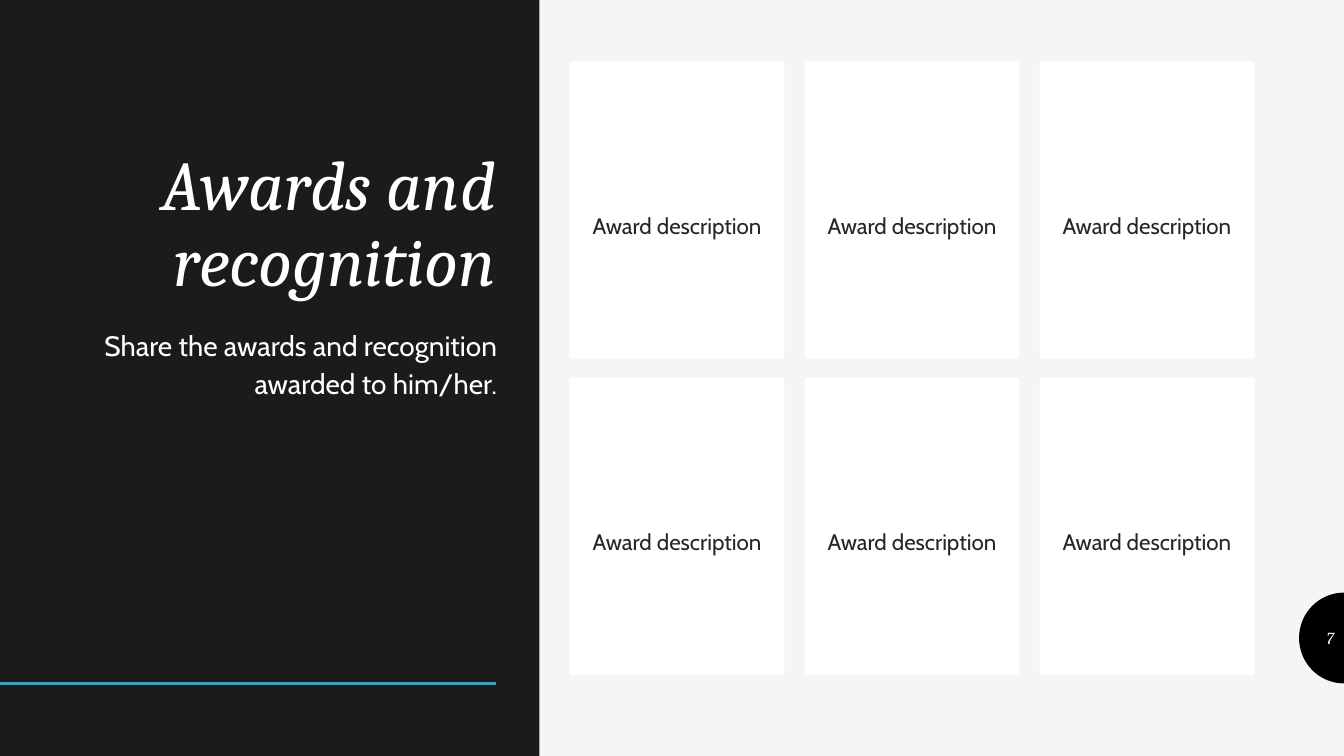
import math

import pptx
import pptx.util
import pptx.dml.color
import pptx.enum.shapes
import pptx.enum.text
import pptx.oxml

RGB = pptx.dml.color.RGBColor
ALIGN = pptx.enum.text.PP_ALIGN
ANCHOR = pptx.enum.text.MSO_ANCHOR
PAPER = RGB(0xF5, 0xF5, 0xF5)
DARK = RGB(0x1D, 0x1A, 0x1D)
TEAL = RGB(0x43, 0x9E, 0xB7)
WHITE = RGB(0xFF, 0xFF, 0xFF)
BLACK = RGB(0, 0, 0)
INK = RGB(0x26, 0x26, 0x26)

TITLE = {"name": "Cambria", "size": 50, "italic": True, "color": WHITE}
LEAD = {"name": "Cabin", "size": 20, "color": WHITE}
AWARD = {"name": "Cabin", "size": 16, "color": INK}
PAGE = {"name": "Cambria", "size": 12, "italic": True, "color": PAPER}


class Canvas:
    """One slide; every length is a percentage of its width or height."""

    def __init__(self, deck):
        self.wide, self.high = deck.slide_width, deck.slide_height
        self.slide = deck.slides.add_slide(deck.slide_layouts[6])
        self.shapes = self.slide.shapes
        back = self.slide.background.fill
        back.solid()
        back.fore_color.rgb = PAPER

    def col(self, share):
        return round(self.wide * share / 100)

    def row(self, share):
        return round(self.high * share / 100)

    def area(self, x, y, w, h):
        return self.col(x), self.row(y), self.col(w), self.row(h)

    def paint(self, shape, color):
        shape.shadow.inherit = False
        shape.fill.solid()
        shape.fill.fore_color.rgb = color
        shape.line.fill.background()
        return shape

    def rect(self, box, color):
        kind = pptx.enum.shapes.MSO_SHAPE.RECTANGLE
        return self.paint(self.shapes.add_shape(kind, *self.area(*box)), color)

    def dome(self, x, y, w, h, color):
        """Draw the left half of an ellipse whose flat side is at x + w."""
        turns = [math.pi * step / 48 for step in range(49)]
        spots = [(self.col(x + w - w * math.sin(turn)),
                  self.row(y + h / 2 * (1 - math.cos(turn)))) for turn in turns]
        pen = self.shapes.build_freeform(*spots[0])
        pen.add_line_segments(spots[1:], close=True)
        return self.paint(pen.convert_to_shape(), color)

    def rule(self, x, y, end, color):
        kind = pptx.enum.shapes.MSO_CONNECTOR.STRAIGHT
        line = self.shapes.add_connector(
            kind, self.col(x), self.row(y), self.col(end), self.row(y))
        line.line.color.rgb = color
        line.line.width = pptx.util.Pt(2)
        line._element.spPr.append(pptx.oxml.parse_xml(
            '<a:effectLst xmlns:a='
            '"http://schemas.openxmlformats.org/drawingml/2006/main"/>'))

    def label(self, shape, text, style, align, lead=1.0, **frame):
        """Put styled text into a shape's frame."""
        body = shape.text_frame
        for key, value in {"word_wrap": True, **frame}.items():
            setattr(body, key, value)
        para = body.paragraphs[0]
        para.alignment, para.line_spacing = align, lead
        run = para.add_run()
        run.text = text
        for key, value in style.items():
            if key == "color":
                run.font.color.rgb = value
            else:
                setattr(run.font, key,
                        pptx.util.Pt(value) if key == "size" else value)

    def text(self, box, text, style, lead=1.0, anchor=ANCHOR.TOP):
        shape = self.shapes.add_textbox(*self.area(*box))
        self.label(shape, text, style, ALIGN.RIGHT, lead,
                   vertical_anchor=anchor)

    def card(self, box, text):
        """Draw a white tile with its text starting halfway down."""
        self.label(self.rect(box, WHITE), text, AWARD, ALIGN.CENTER, 1.12,
                   vertical_anchor=ANCHOR.TOP, margin_left=0, margin_right=0,
                   margin_top=self.row(19.47), margin_bottom=0)


def main():
    deck = pptx.Presentation()
    deck.slide_width = pptx.util.Inches(13.33)
    deck.slide_height = pptx.util.Inches(7.5)
    page = Canvas(deck)

    page.dome(96.66, 78.4, 3.34, 12, BLACK)
    page.rect((0, 0, 40.14, 100), DARK)
    page.rule(0, 90.4, 36.91, TEAL)
    page.text((6.23, 8.13, 31.43, 32.4), "Awards and recognition", TITLE,
              0.9, ANCHOR.BOTTOM)
    page.text((6.23, 42.27, 31.5, 41.6),
              "Share the awards and recognition awarded to him/her.",
              LEAD, 1.12)
    for row in range(2):
        for col in range(3):
            page.card((42.39 + 17.48 * col, 8.13 + 41.87 * row, 15.98, 39.33),
                      "Award description")
    page.text((96.66, 81.73, 3.34, 5.33), "7", PAGE, anchor=ANCHOR.MIDDLE)
    deck.save("out.pptx")


if __name__ == "__main__":
    main()
